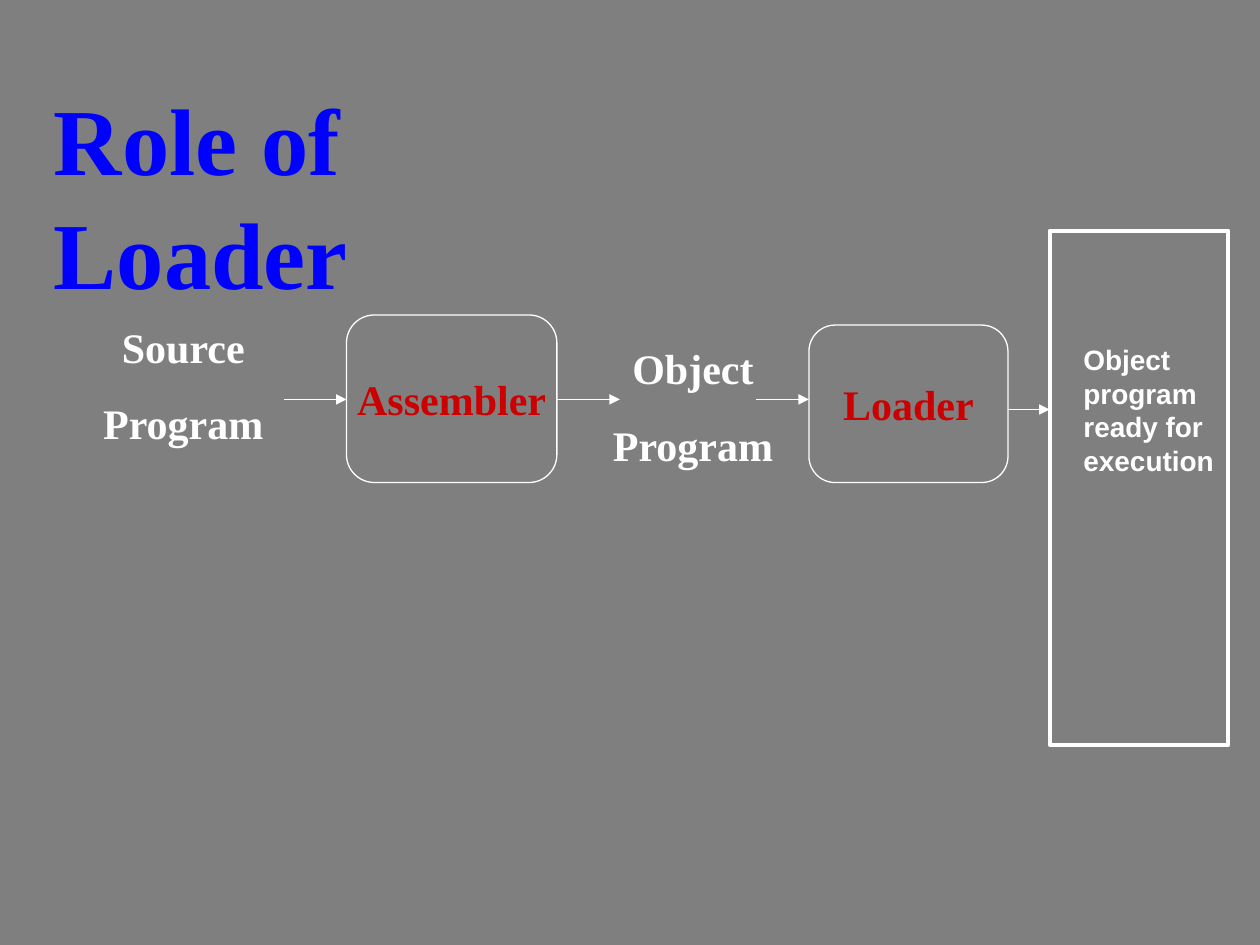
from lxml.etree import SubElement
from pptx import Presentation
from pptx.dml.color import RGBColor
from pptx.enum.shapes import MSO_CONNECTOR, MSO_SHAPE
from pptx.enum.text import MSO_ANCHOR, MSO_AUTO_SIZE, PP_ALIGN
from pptx.oxml.ns import qn
from pptx.util import Inches, Pt

WHITE, BLUE, RED, GRAY = "FFFFFF", "0000FF", "CC0000", "7F7F7F"
SERIF, SANS = "Times New Roman", "Arial"


def color(value):
    return RGBColor.from_string(value)


def lengths(*values):
    return [Inches(value) for value in values]


def write(frame, lines, size, ink, font=SERIF, align=PP_ALIGN.LEFT, before=0):
    """Fill a text frame with one bold paragraph for each line."""
    for index, line in enumerate(lines):
        para = frame.add_paragraph() if index else frame.paragraphs[0]
        para.text = line
        para.alignment = align
        para.space_before = Pt(before)
        para.font.name = font
        para.font.size = Pt(size)
        para.font.bold = True
        para.font.color.rgb = color(ink)


def add_text(page, box, lines, size, ink, **style):
    frame = page.shapes.add_textbox(*lengths(*box)).text_frame
    frame.word_wrap = True
    write(frame, lines, size, ink, **style)
    return frame


def add_title(page, box, title):
    frame = add_text(page, box, [title], 54, BLUE)
    frame.vertical_anchor = MSO_ANCHOR.MIDDLE


def add_label(page, box, lines):
    frame = add_text(page, box, lines, 24, WHITE, align=PP_ALIGN.CENTER, before=15)
    frame.auto_size = MSO_AUTO_SIZE.SHAPE_TO_FIT_TEXT


def add_outline(page, kind, box, weight):
    shape = page.shapes.add_shape(kind, *lengths(*box))
    shape.shadow.inherit = False
    shape.fill.background()
    shape.line.color.rgb = color(WHITE)
    shape.line.width = Pt(weight)
    return shape


def add_process(page, box, name):
    shape = add_outline(page, MSO_SHAPE.FLOWCHART_ALTERNATE_PROCESS, box, 0.75)
    frame = shape.text_frame
    frame.word_wrap = False
    frame.vertical_anchor = MSO_ANCHOR.MIDDLE
    write(frame, [name], 24, RED, align=PP_ALIGN.CENTER)


def add_memory(page, box, caption):
    left, top, width, _ = box
    add_outline(page, MSO_SHAPE.RECTANGLE, box, 2.25)
    inset = 0.17
    caption_box = (left + inset, top + 0.84, width - inset, 1.17)
    frame = add_text(page, caption_box, [caption], 16, WHITE, font=SANS, before=10)
    frame.auto_size = MSO_AUTO_SIZE.SHAPE_TO_FIT_TEXT


def add_arrow(page, start, end, height):
    """Draw a horizontal arrow at the given height."""
    ends = lengths(start, height, end, height)
    arrow = page.shapes.add_connector(MSO_CONNECTOR.STRAIGHT, *ends)
    arrow.line.color.rgb = color(WHITE)
    arrow.line.width = Pt(0.75)
    SubElement(arrow.line._get_or_add_ln(), qn("a:tailEnd"), type="triangle")
    SubElement(arrow._element.spPr, qn("a:effectLst"))


def main():
    deck = Presentation()
    deck.slide_width, deck.slide_height = lengths(10, 7.5)
    page = deck.slides.add_slide(deck.slide_layouts[6])
    page.background.fill.solid()
    page.background.fill.fore_color.rgb = color(GRAY)

    add_title(page, (0.33, 1.17, 4.33, 0.75), "Role of Loader")
    add_label(page, (0.58, 2.5, 1.75, 1.11), ["Source", "Program"])
    add_process(page, (2.75, 2.5, 1.67, 1.33), "Assembler")
    add_label(page, (4.75, 2.67, 1.5, 1.11), ["Object", "Program"])
    add_process(page, (6.42, 2.58, 1.58, 1.25), "Loader")
    add_memory(page, (8.33, 1.83, 1.42, 4.08), "Object program ready for execution")

    for start, end in ((2.25, 2.75), (4.42, 4.92), (6, 6.42)):
        add_arrow(page, start, end, 3.17)
    add_arrow(page, 8, 8.33, 3.25)
    deck.save("out.pptx")


if __name__ == "__main__":
    main()
